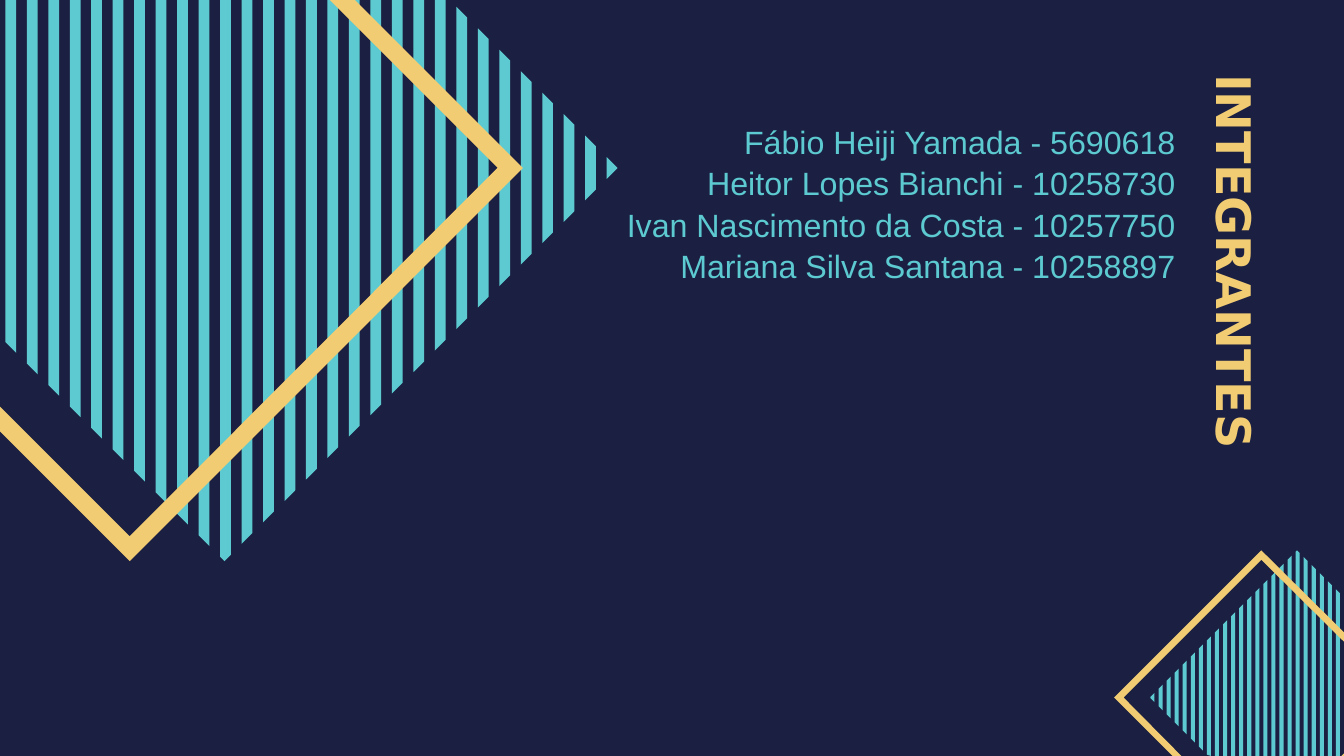
from dataclasses import dataclass

from pptx import Presentation
from pptx.dml.color import RGBColor
from pptx.enum.shapes import MSO_SHAPE
from pptx.enum.text import MSO_AUTO_SIZE, PP_ALIGN
from pptx.shapes.base import BaseShape
from pptx.shapes.shapetree import SlideShapes
from pptx.util import Inches, Pt

Point = tuple[float, float]
WIDTH, HEIGHT = 20, 11.25


@dataclass(frozen=True)
class Theme:
    navy: str = "1B2042"
    teal: str = "5CCAD0"
    gold: str = "F2CC73"
    head: float = 51
    body: float = 34.5


@dataclass(frozen=True)
class Diamond:
    mid: Point
    radius: float
    start: float
    step: float
    bar: float
    count: int
    band: list[list[Point]]


@dataclass(frozen=True)
class Label:
    box: tuple[float, float, float, float]
    lines: list[str]
    font: dict
    color: str
    para: dict
    frame: dict
    turn: float = 0


THEME = Theme()

DIAMONDS = [
    Diamond((3.34, 2.5), 5.85, 0.08, 0.3196, 0.16, 29, [
        [(7.59, 2.31), (7.41, 2.5), (4.91, 0), (5.28, 0)],
        [(7.78, 2.5), (1.93, 8.35), (0, 6.42), (0, 6.05), (1.93, 7.98), (7.59, 2.31)],
    ]),
    Diamond((19.3, 10.38), 2.19, 17.12, 0.12, 0.06, 24, [
        [(17.58, HEIGHT), (17.45, HEIGHT), (16.58, 10.38), (18.77, 8.19),
         (18.84, 8.26), (16.72, 10.38)],
        [(WIDTH, 9.55), (18.77, 8.33), (18.84, 8.26), (WIDTH, 9.41)],
        [(WIDTH, HEIGHT), (19.96, HEIGHT), (WIDTH, 11.21)],
    ]),
]

INSETS = dict.fromkeys(
    ("margin_left", "margin_top", "margin_right", "margin_bottom"), 0)
FRAME = INSETS | {"word_wrap": True, "auto_size": MSO_AUTO_SIZE.SHAPE_TO_FIT_TEXT}

LABELS = [
    Label((15.46, 3.6, 5.85, 0.86), ["INTEGRANTES"],
          {"name": "DejaVu Sans", "size": Pt(THEME.head), "bold": True},
          THEME.gold, {"line_spacing": 1.01}, FRAME, 90),
    Label((7.92, 1.77, 9.84, 2.46),
          ["Fábio Heiji Yamada - 5690618",
           "Heitor Lopes Bianchi - 10258730",
           "Ivan Nascimento da Costa - 10257750",
           "Mariana Silva Santana - 10258897"],
          {"name": "Arial", "size": Pt(THEME.body), "bold": False},
          THEME.teal, {"line_spacing": 1.07, "alignment": PP_ALIGN.RIGHT},
          FRAME | {"margin_top": Inches(0.01)}),
]


def apply(target: object, values: dict) -> None:
    for key, value in values.items():
        setattr(target, key, value)


def paint(shape: BaseShape, color: str) -> None:
    shape.shadow.inherit = False
    shape.fill.solid()
    shape.fill.fore_color.rgb = RGBColor.from_string(color)
    shape.line.fill.background()


def stripe(gem: Diamond, index: int) -> list[Point]:
    left = gem.start + index * gem.step
    right = left + gem.bar
    apex, level = gem.mid
    cuts = [left, apex, right] if left < apex < right else [left, right]
    reach = [(x, max(0, gem.radius - abs(x - apex))) for x in cuts]
    top = [(x, max(0, level - half)) for x, half in reach]
    base = [(x, min(HEIGHT, level + half)) for x, half in reach]
    return top + base[::-1]


def outline(shapes: SlideShapes, loops: list[list[Point]], color: str) -> None:
    paths = [[(Inches(x), Inches(y)) for x, y in loop] for loop in loops]
    pen = shapes.build_freeform(*paths[0][0])
    for order, path in enumerate(paths):
        if order:
            pen.move_to(*path[0])
        pen.add_line_segments(path[1:], close=True)
    paint(pen.convert_to_shape(), color)


def write(shapes: SlideShapes, label: Label) -> BaseShape:
    box = shapes.add_textbox(*map(Inches, label.box))
    box.rotation = label.turn
    frame = box.text_frame
    apply(frame, label.frame)
    frame.text = "\n".join(label.lines)
    for para in frame.paragraphs:
        apply(para, label.para)
        font = para.runs[0].font
        apply(font, label.font)
        font.color.rgb = RGBColor.from_string(label.color)
    return box


def main() -> None:
    deck = Presentation()
    apply(deck, {"slide_width": Inches(WIDTH), "slide_height": Inches(HEIGHT)})
    shapes = deck.slides.add_slide(deck.slide_layouts[6]).shapes
    ground = shapes.add_shape(
        MSO_SHAPE.RECTANGLE, 0, 0, Inches(WIDTH), Inches(HEIGHT))
    paint(ground, THEME.navy)
    head, names = [write(shapes, label) for label in LABELS]
    first = names.text_frame.paragraphs[0]
    first._p.get_or_add_pPr().set("marR", str(Inches(0.27)))
    for gem in DIAMONDS:
        outline(shapes, [stripe(gem, i) for i in range(gem.count)], THEME.teal)
        outline(shapes, gem.band, THEME.gold)
    deck.save("out.pptx")


if __name__ == "__main__":
    main()
